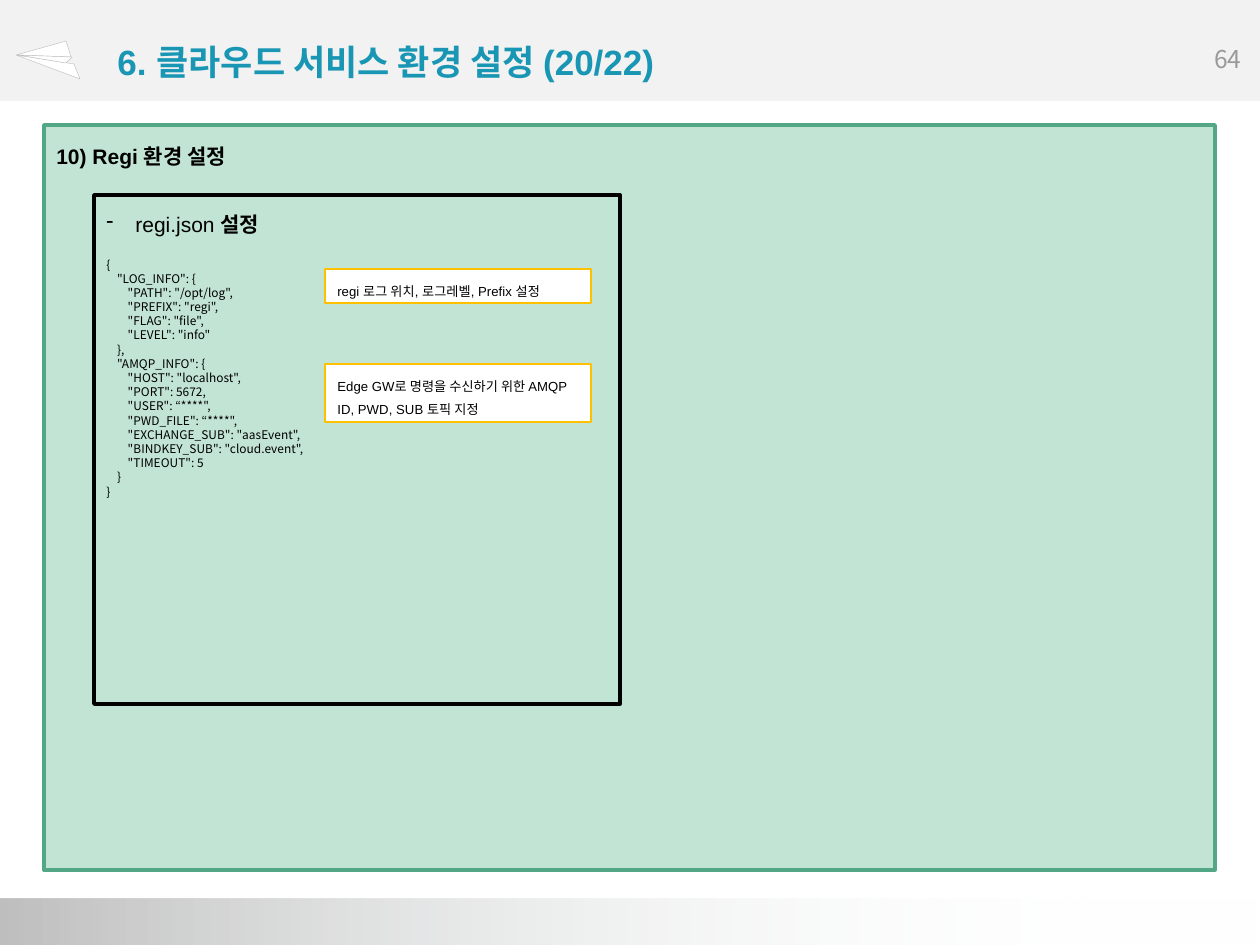
import pptx
import pptx.dml.color
import pptx.enum.shapes
import pptx.enum.text
import pptx.oxml
import pptx.oxml.ns
import pptx.util

SHAPES = pptx.enum.shapes.MSO_SHAPE
ALIGN = pptx.enum.text.PP_ALIGN
ANCHOR = pptx.enum.text.MSO_ANCHOR
EMU_PER_PX = 914400 / 126
KOREAN_FONT = "Noto Sans CJK KR"

# Content
TITLE = "6. 클라우드 서비스 환경 설정 (20/22)"
PAGE_NUMBER = "64"
SECTION = "10) Regi 환경 설정"
FILE_HEADING = [("regi.json ", False), ("설정", True)]
CODE = '''{
    "LOG_INFO": {
        "PATH": "/opt/log",
        "PREFIX": "regi",
        "FLAG": "file",
        "LEVEL": "info"
    },
    "AMQP_INFO": {
        "HOST": "localhost",
        "PORT": 5672,
        "USER": “****",
        "PWD_FILE": “****",
        "EXCHANGE_SUB": "aasEvent",
        "BINDKEY_SUB": "cloud.event",
        "TIMEOUT": 5
    }
}'''.split("\n")
CALLOUTS = [  # top, height, text
    (269, 34, "regi 로그 위치, 로그레벨, Prefix 설정"),
    (364, 58, "Edge GW로 명령을 수신하기 위한 AMQP ID, PWD, SUB 토픽 지정"),
]
PLANE_FACES = [
    [(66, 41), (16, 55), (71, 57)],
    [(74, 64), (16, 55), (80, 79)],
    [(72, 57), (18, 55), (66, 63)],
]
GRADIENT = [(0, "BFBFBF", 100), (83, "FBFDFE", 10), (100, "FFFFFF", 0)]


def px(value):
    return pptx.util.Emu(round(value * EMU_PER_PX))


def color(value):
    return pptx.dml.color.RGBColor.from_string(value)


def style(shape, fill=None, line=None, width=1):
    shape.shadow.inherit = False
    if fill:
        shape.fill.solid()
        shape.fill.fore_color.rgb = color(fill)
    else:
        shape.fill.background()
    if line:
        shape.line.color.rgb = color(line)
        shape.line.width = pptx.util.Pt(width)
    else:
        shape.line.fill.background()


def add_box(slide, kind, box, **look):
    shape = slide.shapes.add_shape(kind, *map(px, box))
    if kind == SHAPES.ROUNDED_RECTANGLE:
        shape.adjustments[0] = 0
    style(shape, **look)
    return shape


def fill_gradient(shape, stops):
    stop_xml = "".join(
        f'<a:gs pos="{position * 1000}"><a:srgbClr val="{value}">'
        f'<a:alpha val="{opacity * 1000}"/></a:srgbClr></a:gs>'
        for position, value, opacity in stops)
    gradient = pptx.oxml.parse_xml(
        f'<a:gradFill {pptx.oxml.ns.nsdecls("a")}><a:gsLst>{stop_xml}</a:gsLst>'
        '<a:lin ang="0" scaled="0"/></a:gradFill>')
    solid = shape.element.spPr.find(pptx.oxml.ns.qn("a:solidFill"))
    shape.element.spPr.replace(solid, gradient)


def add_run(paragraph, text, size, font="Arial", value="000000", bold=False):
    run = paragraph.add_run()
    run.text = text
    run.font.size = pptx.util.Pt(size)
    run.font.name = font
    run.font.bold = bold
    run.font.color.rgb = color(value)


def write(shape, lines, spacing=None, align=ALIGN.LEFT, anchor=ANCHOR.TOP, **look):
    frame = shape.text_frame
    frame.word_wrap = True
    frame.vertical_anchor = anchor
    for index, line in enumerate(lines):
        paragraph = frame.add_paragraph() if index else frame.paragraphs[0]
        paragraph.alignment = align
        paragraph.line_spacing = spacing
        add_run(paragraph, line, **look)


def add_text(slide, box, lines, **look):
    write(slide.shapes.add_textbox(*map(px, box)), lines, **look)


def add_file_heading(slide, box):
    frame = slide.shapes.add_textbox(*map(px, box)).text_frame
    frame.word_wrap = True
    frame.vertical_anchor = ANCHOR.MIDDLE
    paragraph = frame.paragraphs[0]
    paragraph.line_spacing = 1.5
    properties = paragraph._p.get_or_add_pPr()
    properties.set("marL", str(px(29)))
    properties.set("indent", str(px(-29)))
    properties.append(pptx.oxml.parse_xml(
        f'<a:buChar {pptx.oxml.ns.nsdecls("a")} char="-"/>'))
    for text, bold in FILE_HEADING:
        add_run(paragraph, text, 12, bold=bold)


def main():
    presentation = pptx.Presentation()
    presentation.slide_width, presentation.slide_height = px(1260), px(945)
    slide = presentation.slides.add_slide(presentation.slide_layouts[6])

    # Header and footer bands
    add_box(slide, SHAPES.ROUNDED_RECTANGLE, (0, 0, 1260, 101), fill="F2F2F2")
    footer = add_box(slide, SHAPES.ROUNDED_RECTANGLE, (0, 899, 1260, 46), fill="FFFFFF")
    fill_gradient(footer, GRADIENT)
    add_text(slide, (1196, 38, 64, 63), [PAGE_NUMBER], align=ALIGN.CENTER,
             size=14, font=KOREAN_FONT, value="999999")

    # Paper plane
    for start, *others in PLANE_FACES:
        builder = slide.shapes.build_freeform(*start, scale=EMU_PER_PX)
        builder.add_line_segments(others, close=True)
        style(builder.convert_to_shape(), fill="FFFFFF", line="BFBFBF", width=0.25)

    # Content panel and titles
    add_box(slide, SHAPES.ROUNDED_RECTANGLE, (44, 125, 1171, 745),
            fill="C2E4D4", line="53A787", width=2)
    add_text(slide, (105, 37, 1062, 48), [TITLE], anchor=ANCHOR.MIDDLE,
             size=20, value="1996B3", bold=True)
    add_text(slide, (44, 125, 1171, 45), [SECTION], spacing=1.5, size=12, bold=True)

    # Configuration file
    add_box(slide, SHAPES.RECTANGLE, (94, 195, 526, 509), line="000000", width=2)
    add_file_heading(slide, (94, 195, 526, 45))
    add_text(slide, (94, 251, 526, 256), CODE, spacing=pptx.util.Pt(8.1),
             size=6.8, font=KOREAN_FONT)

    # Callouts
    for top, height, text in CALLOUTS:
        callout = add_box(slide, SHAPES.RECTANGLE, (325, top, 266, height),
                          fill="FFFFFF", line="FFC000", width=0.75)
        write(callout, [text], spacing=1.5, size=7.5)

    presentation.save("out.pptx")


if __name__ == "__main__":
    main()
